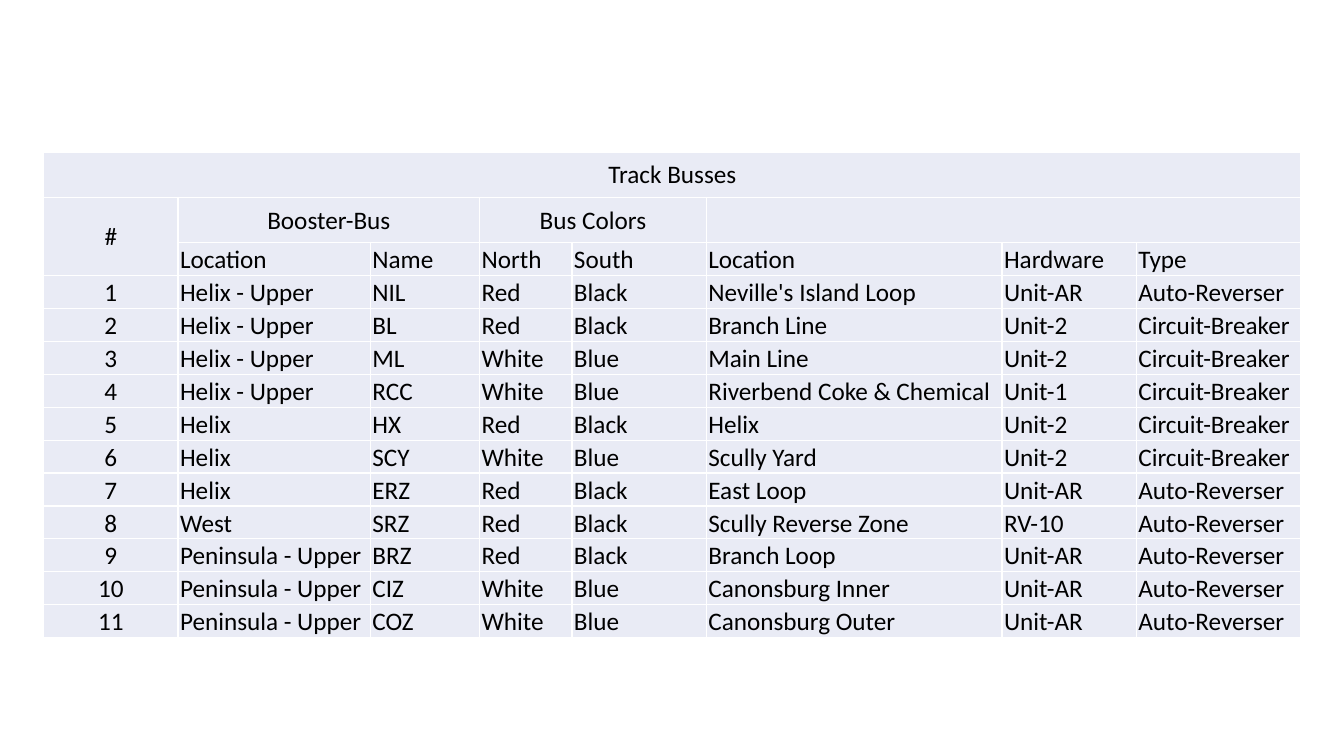
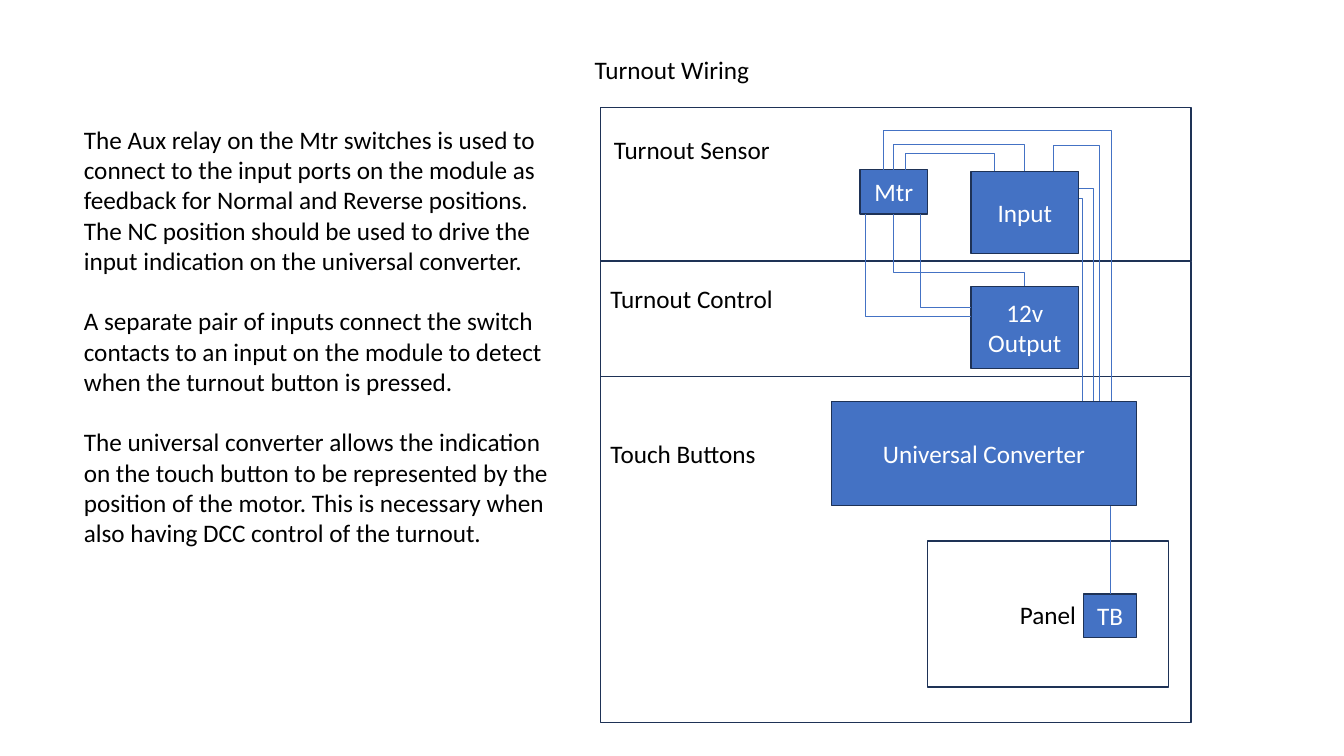
from typing import NamedTuple, Optional

from lxml import etree
from pptx import Presentation
from pptx import util as u
from pptx.dml.color import RGBColor
from pptx.enum import shapes, text
from pptx.oxml.ns import qn

# Shared look: a grid of 160 columns by 90 rows covers the slide
COLORS = {"ink": "000000", "paper": "FFFFFF", "block": "4472C4",
          "edge": "1E3256", "cell": "E9EBF5"}
FONT, FONT_SIZE = "Calibri", u.Pt(18)
SLIDE_WIDTH, SLIDE_HEIGHT = u.Inches(13.333), u.Inches(7.5)
TITLE_ONLY, BLANK = 5, 6
LEFT, CENTER = text.PP_ALIGN.LEFT, text.PP_ALIGN.CENTER
TOP, MIDDLE, BOTTOM = (text.MSO_ANCHOR.TOP, text.MSO_ANCHOR.MIDDLE,
                       text.MSO_ANCHOR.BOTTOM)


class Area(NamedTuple):
    col: float
    row: float
    cols: float
    rows: float


class Block(NamedTuple):
    label: str
    area: Area
    fill: Optional[str] = "block"
    ink: str = "paper"


class Label(NamedTuple):
    label: str
    area: Area


class Wire(NamedTuple):
    """Leaves vertically, crosses at the level row, arrives vertically."""
    start: tuple[float, float]
    end: tuple[float, float]
    level: float


def across(cols: float) -> int:
    return round(SLIDE_WIDTH * cols / 160)


def down(rows: float) -> int:
    return round(SLIDE_HEIGHT * rows / 90)


def place(area: Area) -> tuple[int, int, int, int]:
    return across(area.col), down(area.row), across(area.cols), down(area.rows)


def color(name: str) -> RGBColor:
    return RGBColor.from_string(COLORS[name])


def write(frame, content: str, ink: str = "ink", align=LEFT) -> None:
    frame.text = content
    for para in frame.paragraphs:
        para.alignment = align
        for span in para.runs:
            span.font.name, span.font.size = FONT, FONT_SIZE
            span.font.bold = False
            span.font.color.rgb = color(ink)


# Track bus table
TABLE_COLS = (16, 22.9, 13, 11, 16, 35.2, 16, 19.6)
HEADING_ROW, BODY_ROW, HEADING_COUNT = 5.4, 3.92, 2
HEADINGS = [
    ("Track Busses",) + ("",) * 7,
    ("#", "Booster-Bus", "", "Bus Colors", "", "", "", ""),
    ("", "Location", "Name", "North", "South", "Location", "Hardware", "Type"),
]
MERGES = [((0, 0), (0, 7)), ((1, 0), (2, 0)), ((1, 1), (1, 2)),
          ((1, 3), (1, 4)), ((1, 5), (1, 7))]
RED, WHITE = ("Red", "Black"), ("White", "Blue")
REVERSER, BREAKER = "Auto-Reverser", "Circuit-Breaker"
BUSSES = [
    ("Helix - Upper", "NIL", *RED, "Neville's Island Loop", "Unit-AR", REVERSER),
    ("Helix - Upper", "BL", *RED, "Branch Line", "Unit-2", BREAKER),
    ("Helix - Upper", "ML", *WHITE, "Main Line", "Unit-2", BREAKER),
    ("Helix - Upper", "RCC", *WHITE, "Riverbend Coke & Chemical", "Unit-1", BREAKER),
    ("Helix", "HX", *RED, "Helix", "Unit-2", BREAKER),
    ("Helix", "SCY", *WHITE, "Scully Yard", "Unit-2", BREAKER),
    ("Helix", "ERZ", *RED, "East Loop", "Unit-AR", REVERSER),
    ("West", "SRZ", *RED, "Scully Reverse Zone", "RV-10", REVERSER),
    ("Peninsula - Upper", "BRZ", *RED, "Branch Loop", "Unit-AR", REVERSER),
    ("Peninsula - Upper", "CIZ", *WHITE, "Canonsburg Inner", "Unit-AR", REVERSER),
    ("Peninsula - Upper", "COZ", *WHITE, "Canonsburg Outer", "Unit-AR", REVERSER),
]


def border_cell(cell) -> None:
    properties = cell._tc.get_or_add_tcPr()
    for index, side in enumerate(("lnL", "lnR", "lnT", "lnB")):
        line = etree.Element(qn(f"a:{side}"), w=str(u.Pt(1)))
        fill = etree.SubElement(line, qn("a:solidFill"))
        etree.SubElement(fill, qn("a:srgbClr"), val=COLORS["paper"])
        properties.insert(index, line)


def format_cell(cell, content: str, row: int, col: int) -> None:
    heading = row < HEADING_COUNT or content == "#"
    write(cell.text_frame, content, align=CENTER if heading or col == 0 else LEFT)
    cell.vertical_anchor = MIDDLE if heading and col == 0 else BOTTOM
    side, top, bottom = (0.12, 0.06, 0.06) if heading else (0.02, 0.02, 0)
    cell.margin_left = cell.margin_right = u.Inches(side)
    cell.margin_top, cell.margin_bottom = u.Inches(top), u.Inches(bottom)
    cell.fill.solid()
    cell.fill.fore_color.rgb = color("cell")
    border_cell(cell)


def build_bus_page(deck) -> None:
    page = deck.slides.add_slide(deck.slide_layouts[BLANK])
    rows = HEADINGS + [(str(number), *bus) for number, bus in enumerate(BUSSES, 1)]
    heights = [HEADING_ROW if row < HEADING_COUNT else BODY_ROW
               for row in range(len(rows))]
    area = Area(5.2, 18.1, sum(TABLE_COLS), sum(heights))
    table = page.shapes.add_table(len(rows), len(TABLE_COLS), *place(area)).table
    table.first_row = table.horz_banding = False
    for column, width in zip(table.columns, TABLE_COLS):
        column.width = across(width)
    for row, height in enumerate(heights):
        table.rows[row].height = down(height)
        for col, content in enumerate(rows[row]):
            format_cell(table.cell(row, col), content, row, col)
    for first, last in MERGES:
        table.cell(*first).merge(table.cell(*last))


# Turnout wiring diagram
ZONE_COL, ZONE_COLS, ZONE_TOP = 71.5, 70.3, 12.8
ZONE_ROWS = (18.3, 13.7, 41.2)
MOTOR = Area(102.4, 20.2, 8, 5.3)
INPUT = Area(115.6, 20.4, 12.8, 9.8)
OUTPUT = INPUT._replace(row=34.1)
CONVERTER = Area(99, 47.8, 36.3, 12.4)
BUTTON = Area(129, 70.7, 6.3, 5.2)
BLOCKS = [
    Block("Panel", Area(110.4, 64.4, 28.7, 17.4), None, "ink"),
    Block("Input", INPUT),
    Block("Mtr", MOTOR),
    Block("12v Output", OUTPUT),
    Block("Universal Converter", CONVERTER),
]
LABELS = [
    Label("Turnout Sensor", Area(71.9, 15.4, 23.8, 4.8)),
    Label("Turnout Control", Area(71.5, 33.2, 23.8, 4.8)),
    Label("Touch Buttons", Area(71.5, 51.6, 23.8, 4.8)),
]
MOTOR_MID, MOTOR_BASE = MOTOR.col + MOTOR.cols / 2, MOTOR.row + MOTOR.rows
INPUT_MID, INPUT_SIDE = INPUT.col + INPUT.cols / 2, INPUT.col + INPUT.cols
WIRES = [
    Wire((MOTOR_MID, MOTOR.row), (INPUT_MID, INPUT.row), 17.2),
    Wire((107.8, MOTOR.row), (118.4, INPUT.row), 18.2),
    Wire((105.1, MOTOR.row), (132.3, CONVERTER.row), 15.5),
    Wire((125.4, INPUT.row), (130.9, CONVERTER.row), 17.3),
    Wire((128.9, CONVERTER.row), (INPUT_SIDE, 23.6), 23.6),
    Wire((130.2, CONVERTER.row), (INPUT_SIDE, 22.4), 22.4),
    Wire((MOTOR_MID, MOTOR_BASE), (INPUT_MID, OUTPUT.row), 32.4),
    Wire((109.6, MOTOR_BASE), (OUTPUT.col, 36.6), 36.6),
    Wire((103, MOTOR_BASE), (OUTPUT.col, 37.7), 37.7),
]
EXPLANATION = "\n".join((
    "The Aux relay on the Mtr switches is used to connect to the input ports on "
    "the module as feedback for Normal and Reverse positions. The NC position "
    "should be used to drive the input indication on the universal converter.",
    "A separate pair of inputs connect the switch contacts to an input on the "
    "module to detect when the turnout button is pressed.",
    "The universal converter allows the indication on the touch button to be "
    "represented by the position of the motor. This is necessary when also "
    "having DCC control of the turnout.",
))


def add_block(page, block: Block):
    box = page.shapes.add_shape(shapes.MSO_SHAPE.RECTANGLE, *place(block.area))
    box.shadow.inherit = False
    if block.fill:
        box.fill.solid()
        box.fill.fore_color.rgb = color(block.fill)
    else:
        box.fill.background()
    box.line.color.rgb, box.line.width = color("edge"), u.Pt(1)
    if block.label:
        write(box.text_frame, block.label, block.ink, CENTER)
        box.text_frame.vertical_anchor = MIDDLE
    return box


def add_label(page, label: Label):
    box = page.shapes.add_textbox(*place(label.area))
    box.text_frame.word_wrap = True
    write(box.text_frame, label.label)
    return box


def style_wire(connector) -> None:
    connector.line.color.rgb, connector.line.width = color("block"), u.Pt(0.5)
    etree.SubElement(connector._element.spPr, qn("a:effectLst"))


def add_wire(page, wire: Wire) -> None:
    (x1, y1), (x2, y2) = [(across(col), down(row)) for col, row in (wire.start, wire.end)]
    connector = page.shapes.add_connector(shapes.MSO_CONNECTOR.ELBOW, x1, y1, x2, y2)
    # A quarter turn makes the elbow start and end vertically
    width, height = abs(y2 - y1), abs(x2 - x1)
    connector.left = (x1 + x2 - width) // 2
    connector.top = (y1 + y2 - height) // 2
    connector.width, connector.height = width, height
    frame = connector._element.spPr.find(qn("a:xfrm"))
    frame.set("rot", "16200000")
    frame.set("flipH", str(int(y2 > y1)))
    frame.set("flipV", str(int(x2 < x1)))
    bend = round(100000 * (down(wire.level) - y1) / (y2 - y1))
    guides = connector._element.spPr.find(qn("a:prstGeom")).find(qn("a:avLst"))
    etree.SubElement(guides, qn("a:gd"), name="adj1", fmla=f"val {bend}")
    style_wire(connector)


def build_wiring_page(deck) -> None:
    page = deck.slides.add_slide(deck.slide_layouts[TITLE_ONLY])
    title = page.shapes.title
    title.left, title.top, title.width, title.height = place(Area(69.5, 5.9, 21, 4.8))
    write(title.text_frame, "Turnout Wiring", align=CENTER)
    title.text_frame.word_wrap = False
    title.text_frame.vertical_anchor = TOP

    # Zones stacked from the top, then what stands in them
    for index, rows in enumerate(ZONE_ROWS):
        top = ZONE_TOP + sum(ZONE_ROWS[:index])
        add_block(page, Block("", Area(ZONE_COL, top, ZONE_COLS, rows), None))
    for block in BLOCKS:
        add_block(page, block)
    for label in LABELS:
        add_label(page, label)
    for wire in WIRES:
        add_wire(page, wire)

    # Touch button with its straight lead to the converter
    button = add_block(page, Block("TB", BUTTON))
    middle = across(BUTTON.col + BUTTON.cols / 2)
    lead = page.shapes.add_connector(
        shapes.MSO_CONNECTOR.STRAIGHT, middle, down(BUTTON.row),
        middle, down(CONVERTER.row + CONVERTER.rows))
    lead.begin_connect(button, 0)
    style_wire(lead)

    # Explanation
    box = add_label(page, Label(EXPLANATION, Area(8.8, 14.2, 57.8, 52.1)))
    for para in box.text_frame.paragraphs[1:]:
        para.space_before = u.Pt(21.6)


def main() -> None:
    deck = Presentation()
    deck.slide_width, deck.slide_height = SLIDE_WIDTH, SLIDE_HEIGHT
    build_bus_page(deck)
    build_wiring_page(deck)
    deck.save("out.pptx")


if __name__ == "__main__":
    main()
